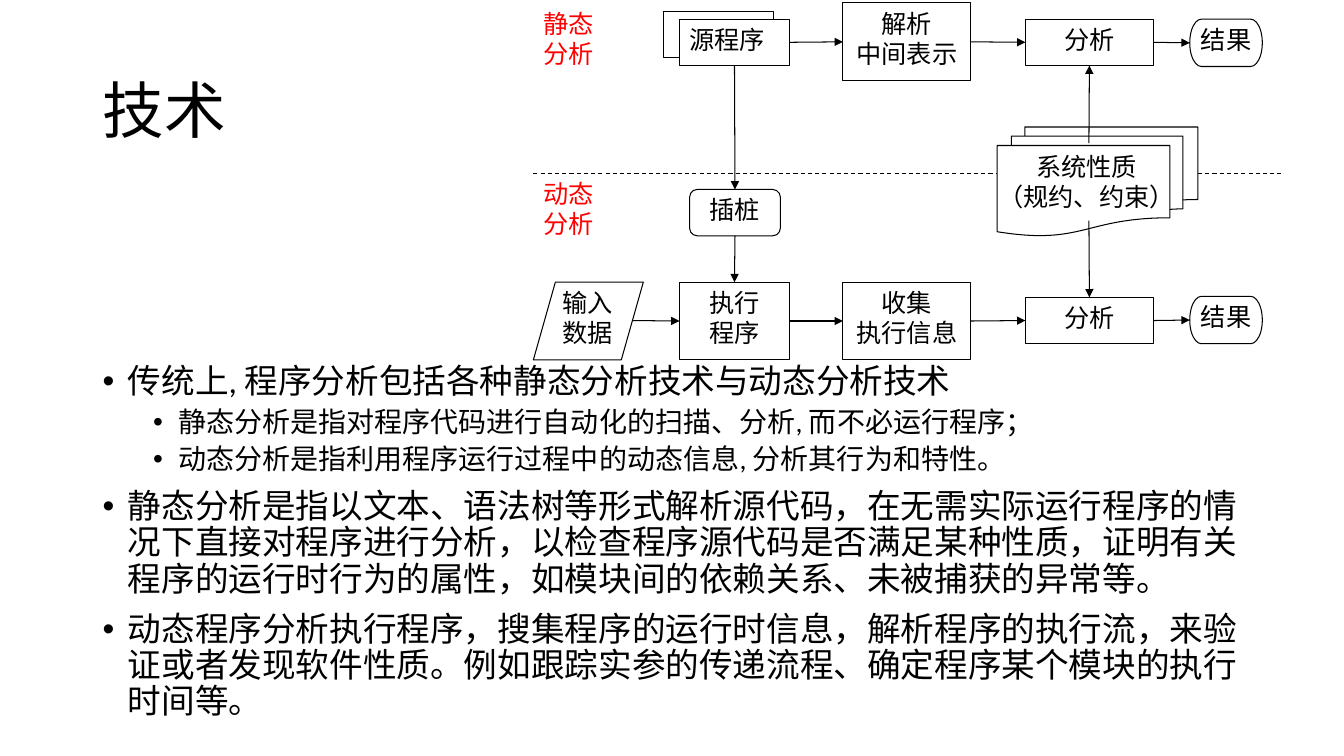
"""Build the slide on static and dynamic program analysis techniques."""
from lxml.etree import SubElement
from pptx import Presentation
from pptx.dml.color import RGBColor
from pptx.enum.dml import MSO_LINE
from pptx.enum.shapes import MSO_CONNECTOR, MSO_SHAPE
from pptx.enum.text import MSO_ANCHOR, PP_ALIGN
from pptx.oxml.ns import qn
from pptx.util import Inches, Pt

BLACK = RGBColor(0, 0, 0)
WHITE = RGBColor(255, 255, 255)
RED = RGBColor(255, 0, 0)
BODY_FONT = "Calibri"
DIAGRAM_FONT = "Times New Roman"

TITLE = "技术"
BULLETS = [
    (0, "传统上, 程序分析包括各种静态分析技术与动态分析技术"),
    (1, "静态分析是指对程序代码进行自动化的扫描、分析, 而不必运行程序；"),
    (1, "动态分析是指利用程序运行过程中的动态信息, 分析其行为和特性。"),
    (0, "静态分析是指以文本、语法树等形式解析源代码，在无需实际运行程序的情况下直接对程序进行分析，"
        "以检查程序源代码是否满足某种性质，证明有关程序的运行时行为的属性，如模块间的依赖关系、未被捕获的异常等。"),
    (0, "动态程序分析执行程序，搜集程序的运行时信息，解析程序的执行流，来验证或者发现软件性质。"
        "例如跟踪实参的传递流程、确定程序某个模块的执行时间等。"),
]
BULLET_LEVELS = [
    {"size": 24, "margin": 0.25, "before": 10},
    {"size": 20, "margin": 0.75, "before": 5},
]

LOW, TALL = 0.46, 0.77
PROGRAM_X, PARSE_X, ANALYSIS_X, RESULT_X = 6.74, 8.36, 10.17, 11.8
PROGRAM_W, STEP_W, RESULT_W = 1.09, 1.27, 0.72
STATIC_Y, DIVIDER_Y, DYNAMIC_Y = 0.03, 1.72, 2.8
BOX = MSO_SHAPE.RECTANGLE
ROUNDED = MSO_SHAPE.FLOWCHART_ALTERNATE_PROCESS
TERMINATOR = MSO_SHAPE.FLOWCHART_TERMINATOR

NODES = {
    "properties": (MSO_SHAPE.FLOWCHART_MULTIDOCUMENT, 9.89, 1.26, 1.99, 1.08, ""),
    "source back": (BOX, 6.58, 0.11, PROGRAM_W, LOW, ""),
    "source": (BOX, PROGRAM_X, 0.19, PROGRAM_W, LOW, "源程序"),
    "parse": (BOX, PARSE_X, STATIC_Y, STEP_W, TALL, "解析\n中间表示"),
    "static analysis": (BOX, ANALYSIS_X, 0.19, STEP_W, LOW, "分析"),
    "static result": (TERMINATOR, RESULT_X, 0.19, RESULT_W, 0.47, ""),
    "instrument": (ROUNDED, 6.84, 1.88, 0.9, LOW, ""),
    "input": (MSO_SHAPE.FLOWCHART_DATA, 5.29, DYNAMIC_Y, PROGRAM_W, TALL, ""),
    "execute": (BOX, PROGRAM_X, DYNAMIC_Y, PROGRAM_W, TALL, "执行\n程序"),
    "collect": (BOX, PARSE_X, DYNAMIC_Y, STEP_W, TALL, "收集\n执行信息"),
    "dynamic analysis": (BOX, ANALYSIS_X, 2.95, STEP_W, LOW, "分析"),
    "dynamic result": (TERMINATOR, RESULT_X, 2.94, RESULT_W, 0.47, ""),
}
LABELS = [
    ("系统性质\n（规约、约束）", 9.78, 1.45, 1.99, TALL, 0.06),
    ("插桩", 6.84, 1.88, 0.9, LOW, 0.1),
    ("输入\n数据", 5.44, DYNAMIC_Y, 0.77, 0.75, 0.1),
    ("结果", RESULT_X, 0.19, RESULT_W, LOW, 0.1),
    ("结果", RESULT_X, 2.94, RESULT_W, LOW, 0.1),
]
PHASES = [("静态\n分析", STATIC_Y), ("动态\n分析", DIVIDER_Y)]

TOP, LEFT, BOTTOM, RIGHT = range(4)
ARROWS = [
    ("source", RIGHT, "parse", LEFT),
    ("parse", RIGHT, "static analysis", LEFT),
    ("static analysis", RIGHT, "static result", LEFT),
    ("source", BOTTOM, "instrument", TOP),
    ("instrument", BOTTOM, "execute", TOP),
    ("execute", RIGHT, "collect", LEFT),
    ("collect", RIGHT, "dynamic analysis", LEFT),
    ("dynamic analysis", RIGHT, "dynamic result", LEFT),
]
FREE_ARROWS = [
    ((6.27, 3.18), "execute", LEFT),
    ((10.8, 1.42), "static analysis", BOTTOM),
    ((10.8, 2.19), "dynamic analysis", TOP),
]


def write_text(frame, text, font=DIAGRAM_FONT, size=18, color=BLACK,
               align=PP_ALIGN.CENTER, anchor=MSO_ANCHOR.TOP, inset=0.1,
               spacing=None):
    """Fill a text frame with one paragraph per line of text."""
    frame.word_wrap = True
    frame.vertical_anchor = anchor
    frame.margin_left = frame.margin_right = Inches(inset)
    frame.margin_top = frame.margin_bottom = Inches(0.05)
    for index, line in enumerate(text.split("\n")):
        paragraph = frame.paragraphs[0] if index == 0 else frame.add_paragraph()
        paragraph.text = line
        paragraph.alignment = align
        paragraph.line_spacing = spacing
        paragraph.font.name = font
        paragraph.font.size = Pt(size)
        paragraph.font.color.rgb = color


def add_label(slide, text, left, top, width, height, **text_format):
    """Add a text box."""
    box = slide.shapes.add_textbox(*map(Inches, (left, top, width, height)))
    write_text(box.text_frame, text, **text_format)
    return box


def add_node(slide, kind, left, top, width, height, text):
    """Add an outlined white diagram shape."""
    shape = slide.shapes.add_shape(kind, *map(Inches, (left, top, width, height)))
    shape.shadow.inherit = False
    shape.fill.solid()
    shape.fill.fore_color.rgb = WHITE
    shape.line.color.rgb = BLACK
    shape.line.width = Pt(0.75)
    if text:
        align = PP_ALIGN.LEFT if text == "源程序" else PP_ALIGN.CENTER
        write_text(shape.text_frame, text, align=align)
    return shape


def add_line(slide, start=(0, 0), end=(0, 0), arrow=True):
    """Add a thin black straight line, with an arrowhead or dashed."""
    line = slide.shapes.add_connector(
        MSO_CONNECTOR.STRAIGHT, *map(Inches, (*start, *end)))
    line.line.color.rgb = BLACK
    line.line.width = Pt(0.75)
    if arrow:
        SubElement(line.line._get_or_add_ln(), qn("a:tailEnd"), type="triangle")
    else:
        line.line.dash_style = MSO_LINE.DASH
    SubElement(line._element.spPr, qn("a:effectLst"))
    return line


def add_bullets(slide):
    """Add the bulleted body text."""
    text = "\n".join(line for _, line in BULLETS)
    box = add_label(slide, text, 0.92, 3.57, 11.5, 3.76, font=BODY_FONT,
                    align=PP_ALIGN.LEFT, spacing=0.9)
    for index, (level, _) in enumerate(BULLETS):
        style = BULLET_LEVELS[level]
        paragraph = box.text_frame.paragraphs[index]
        paragraph.level = level
        paragraph.space_before = Pt(style["before"] if index else 0)
        paragraph.font.size = Pt(style["size"])
        properties = paragraph._p.get_or_add_pPr()
        properties.set("marL", str(Inches(style["margin"])))
        properties.set("indent", str(Inches(-0.25)))
        bullet_font = properties.makeelement(qn("a:buFont"), {"typeface": "Arial"})
        bullet = properties.makeelement(qn("a:buChar"), {"char": "•"})
        defaults = properties.find(qn("a:defRPr"))
        defaults.addprevious(bullet_font)
        defaults.addprevious(bullet)


def add_diagram(slide):
    """Add the analysis flow diagram."""
    add_line(slide, (5.29, DIVIDER_Y), (12.71, DIVIDER_Y), arrow=False)
    nodes = {name: add_node(slide, *node) for name, node in NODES.items()}
    for text, left, top, width, height, inset in LABELS:
        add_label(slide, text, left, top, width, height, inset=inset)
    for text, top in PHASES:
        add_label(slide, text, 5.29, top, 0.9, TALL, color=RED,
                  align=PP_ALIGN.LEFT)
    for origin, origin_side, target, target_side in ARROWS:
        arrow = add_line(slide)
        arrow.begin_connect(nodes[origin], origin_side)
        arrow.end_connect(nodes[target], target_side)
    for start, target, target_side in FREE_ARROWS:
        arrow = add_line(slide, start, start)
        arrow.end_connect(nodes[target], target_side)


def main():
    """Create and save the presentation."""
    presentation = Presentation()
    presentation.slide_width = Inches(13.33)
    presentation.slide_height = Inches(7.5)
    slide = presentation.slides.add_slide(presentation.slide_layouts[6])
    add_label(slide, TITLE, 0.92, 0.4, 11.5, 1.45, font=BODY_FONT, size=44,
              align=PP_ALIGN.LEFT, anchor=MSO_ANCHOR.MIDDLE, spacing=0.9)
    add_bullets(slide)
    add_diagram(slide)
    presentation.save("out.pptx")


if __name__ == "__main__":
    main()
